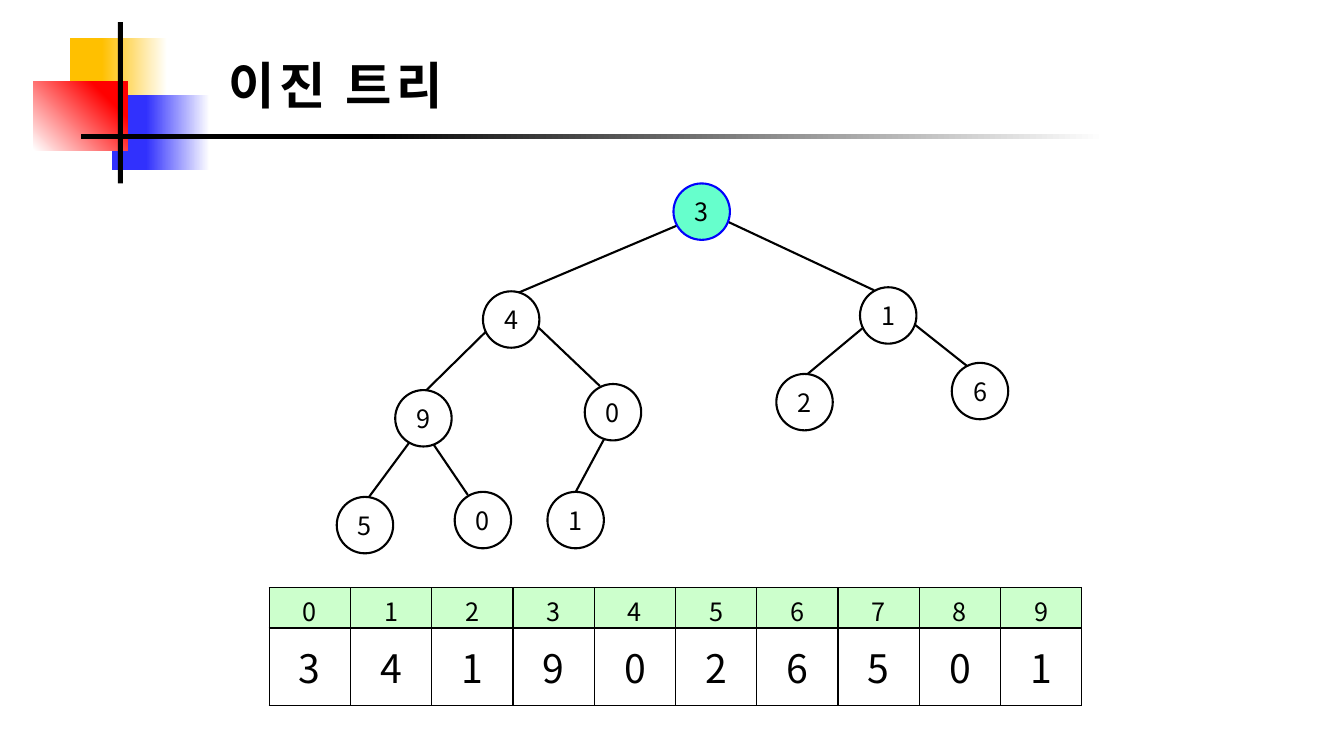
from lxml.etree import SubElement
from pptx import Presentation
from pptx.dml.color import RGBColor as RGB
from pptx.enum.shapes import MSO_CONNECTOR as CONN, MSO_SHAPE as SHAPE
from pptx.enum.text import MSO_ANCHOR as ANCHOR, MSO_AUTO_SIZE as AUTO, PP_ALIGN as ALIGN
from pptx.oxml.ns import qn
from pptx.util import Pt

FONT = "Noto Sans CJK KR"
C = {"ink": "000000", "paper": "FFFFFF", "gold": "FFC000", "blue": "3131FD",
     "red": "FF0000", "root": "66FFCC", "root_line": "0202FC", "index": "CCFFCC"}
NODE = 56  # diameter

# Left and top inside the tree box, label
NODES = [(610, 178, "6"), (519, 103, "1"), (436, 189, "2"), (209, 306, "1"),
         (117, 306, "0"), (0, 311, "5"), (58, 205, "9"), (246, 199, "0"),
         (145, 107, "4"), (334, 0, "3")]
# Child end, parent end
EDGES = [(89, 205, 148, 147), (261, 201, 199, 142), (625, 181, 572, 139),
         (467, 189, 521, 144), (32, 311, 72, 257), (94, 256, 130, 309),
         (237, 306, 266, 252), (181, 108, 337, 42), (533, 106, 388, 38)]
VALUES = [3, 4, 1, 9, 0, 2, 6, 5, 0, 1]


def px(n):
    return n * 9144  # 100 px to the inch


def color(name):
    return RGB.from_string(C[name])


def write(tf, text, size=18, bold=False, align=ALIGN.CENTER, spacing=0):
    p = tf.paragraphs[0]
    p.alignment = align
    r = p.add_run()
    r.text = text
    f = r.font
    f.size, f.bold, f.name = Pt(size), bold, FONT
    f.color.rgb = color("ink")
    rPr = r._r.get_or_add_rPr()
    SubElement(rPr, qn("a:ea"), typeface=FONT)
    if spacing:
        rPr.set("spc", str(spacing * 100))


def no_margins(tf):
    tf.margin_left = tf.margin_right = tf.margin_top = tf.margin_bottom = 0


def add_shape(slide, kind, x, y, w, h):
    sp = slide.shapes.add_shape(kind, px(x), px(y), px(w), px(h))
    sp.shadow.inherit = False
    sp.line.fill.background()
    return sp


def fade(sp, name, stop, angle=180):
    fill = sp.fill
    fill.gradient()
    fill.gradient_angle = angle
    first, last = fill.gradient_stops
    first.color.rgb, first.position = color("paper"), 0
    last.color.rgb, last.position = color(name), stop


def add_title(slide, x, y, w, h):
    sp = slide.shapes.title
    sp.left, sp.top, sp.width, sp.height = px(x), px(y), px(w), px(h)
    tf = sp.text_frame
    no_margins(tf)
    tf.margin_left = px(10)
    tf.word_wrap = True
    tf.auto_size = AUTO.SHAPE_TO_FIT_TEXT
    tf.vertical_anchor = ANCHOR.MIDDLE
    write(tf, "이진 트리", size=36, bold=True, align=ALIGN.LEFT, spacing=3)


def add_ornament(slide, x, y):
    # Fading squares
    for dx, dy, w, h, name, stop, angle in [
            (36, 16, 97, 95, "gold", 0.67, 180),
            (78, 72, 97, 75, "blue", 0.65, 180),
            (0, 59, 94, 68, "red", 0.78, 45)]:
        fade(add_shape(slide, SHAPE.RECTANGLE, x + dx, y + dy, w, h), name, stop, angle)
    # Crossing bars
    bar = add_shape(slide, SHAPE.RECTANGLE, x + 84, y, 5, 160)
    bar.fill.solid()
    bar.fill.fore_color.rgb = color("ink")
    fade(add_shape(slide, SHAPE.RECTANGLE, x + 47, y + 111, 1016, 5), "ink", 0.72)


def add_tree(slide, x, y):
    # Branches
    for x1, y1, x2, y2 in EDGES:
        cx = slide.shapes.add_connector(CONN.STRAIGHT, px(x + x1), px(y + y1),
                                        px(x + x2), px(y + y2))
        cx.line.color.rgb = color("ink")
        cx.line.width = Pt(1.5)
        SubElement(cx._element.spPr, qn("a:effectLst"))
    # Nodes, the root highlighted
    for dx, dy, label in NODES:
        is_root = dy == 0
        sp = add_shape(slide, SHAPE.OVAL, x + dx, y + dy, NODE, NODE)
        sp.fill.solid()
        sp.fill.fore_color.rgb = color("root" if is_root else "paper")
        sp.line.color.rgb = color("root_line" if is_root else "ink")
        sp.line.width = Pt(1.5)
        tf = sp.text_frame
        no_margins(tf)
        tf.vertical_anchor = ANCHOR.MIDDLE
        write(tf, label)


def add_borders(cell):
    tcPr = cell._tc.get_or_add_tcPr()
    for i, side in enumerate(("lnL", "lnR", "lnT", "lnB")):
        ln = tcPr.makeelement(qn("a:" + side), {"w": str(Pt(1))})
        fill = SubElement(ln, qn("a:solidFill"))
        SubElement(fill, qn("a:srgbClr"), val=C["ink"])
        tcPr.insert(i, ln)


def add_array(slide, x, y, w, heights):
    n = len(VALUES)
    tbl = slide.shapes.add_table(2, n, px(x), px(y), px(w), px(sum(heights))).table
    tbl.first_row = tbl.horz_banding = False
    for col in tbl.columns:
        col.width = px(w) // n
    # Index row, then value row
    for i, (items, size) in enumerate([(range(n), 18), (VALUES, 28)]):
        tbl.rows[i].height = px(heights[i])
        for j, item in enumerate(items):
            cell = tbl.cell(i, j)
            if i == 0:
                cell.fill.solid()
                cell.fill.fore_color.rgb = color("index")
            else:
                cell.fill.background()
            cell.vertical_anchor = ANCHOR.MIDDLE
            cell.margin_top = px(5)
            cell.margin_bottom = px(5 * i)
            write(cell.text_frame, str(item), size=size)
            add_borders(cell)


def main():
    prs = Presentation()
    prs.slide_width, prs.slide_height = px(1333), px(750)
    slide = prs.slides.add_slide(prs.slide_layouts[5])
    add_title(slide, 217, 48, 732, 71)
    add_ornament(slide, 33, 22)
    add_tree(slide, 334, 182)
    add_array(slide, 267, 583, 806, (40, 77))
    prs.save("out.pptx")


if __name__ == "__main__":
    main()
